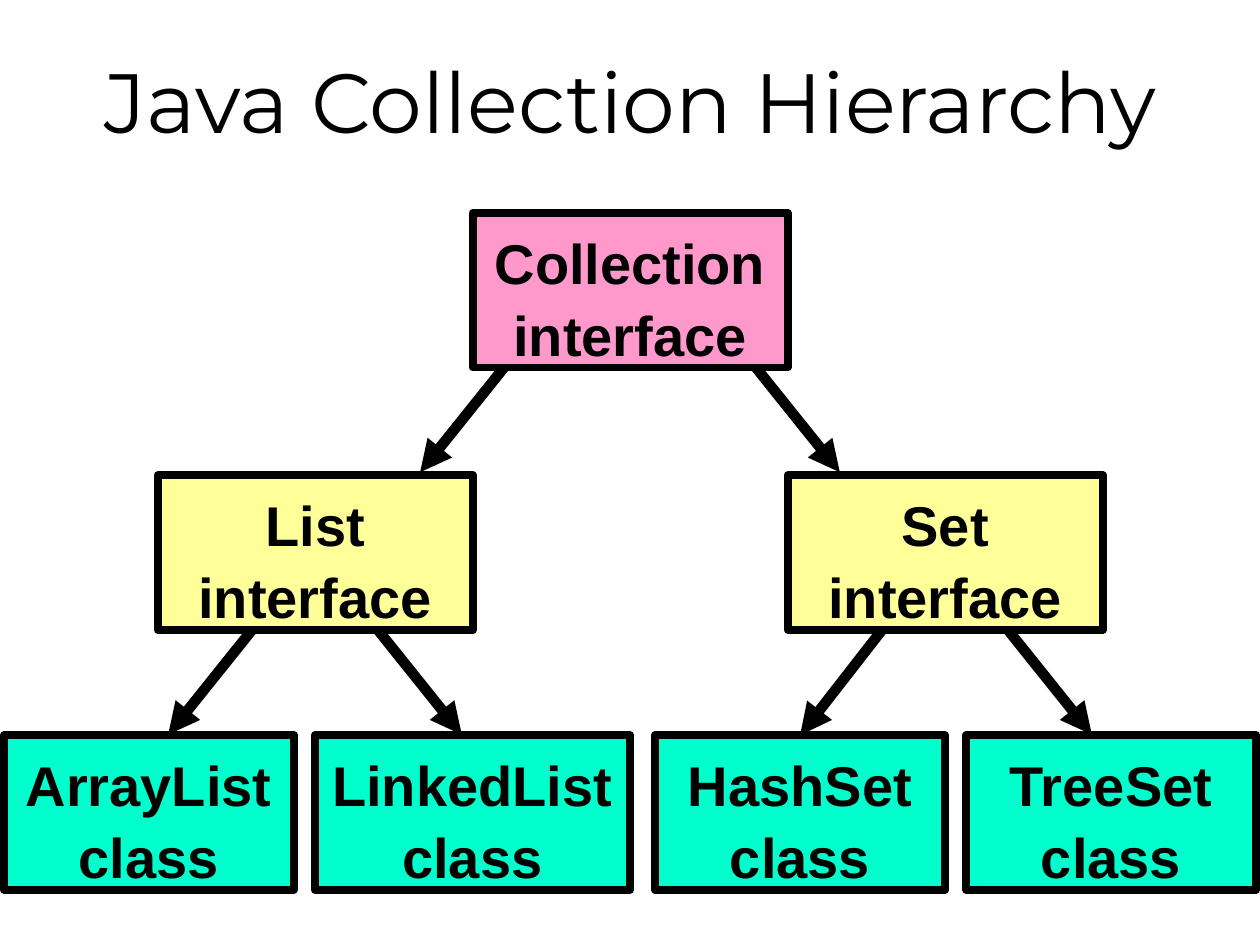
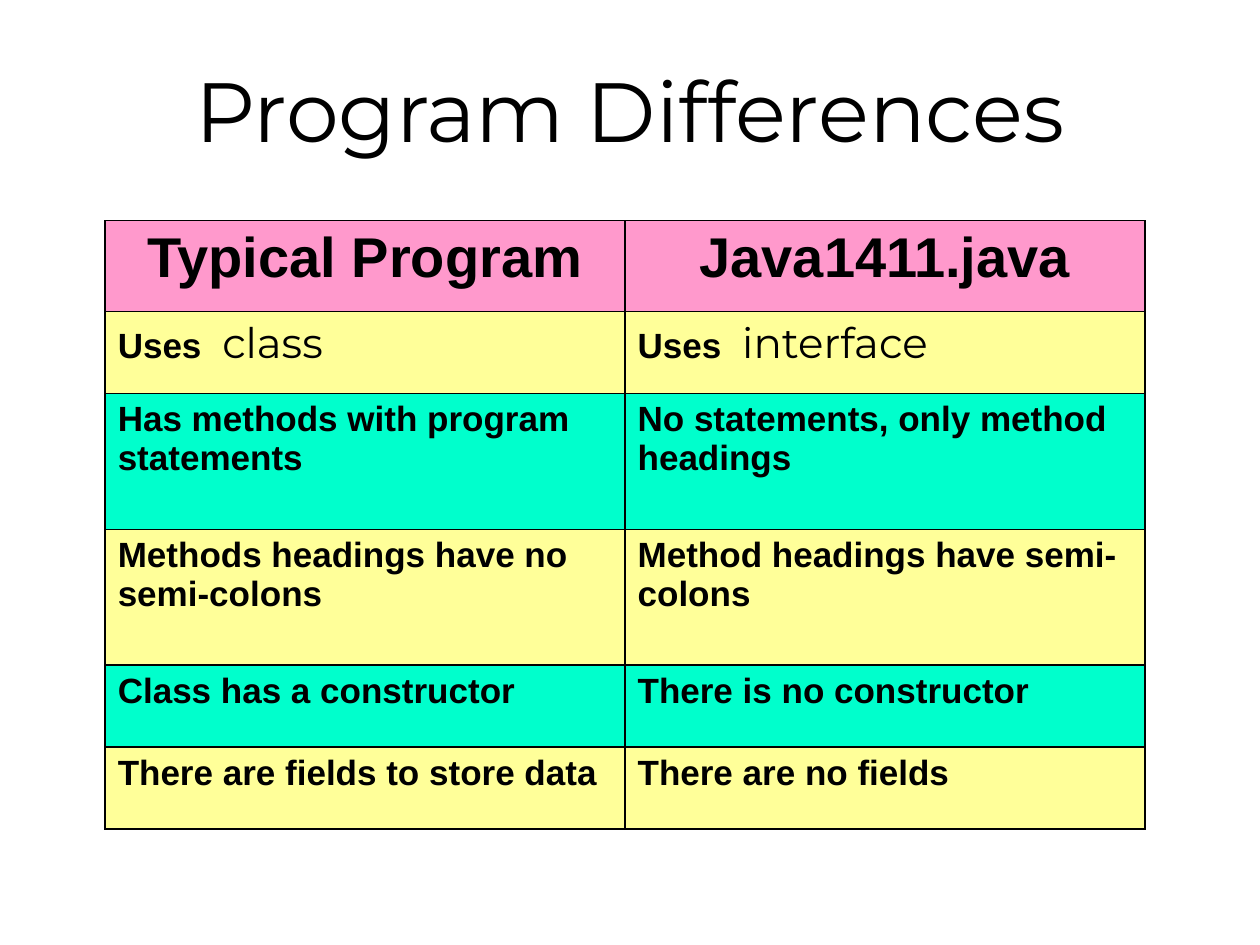
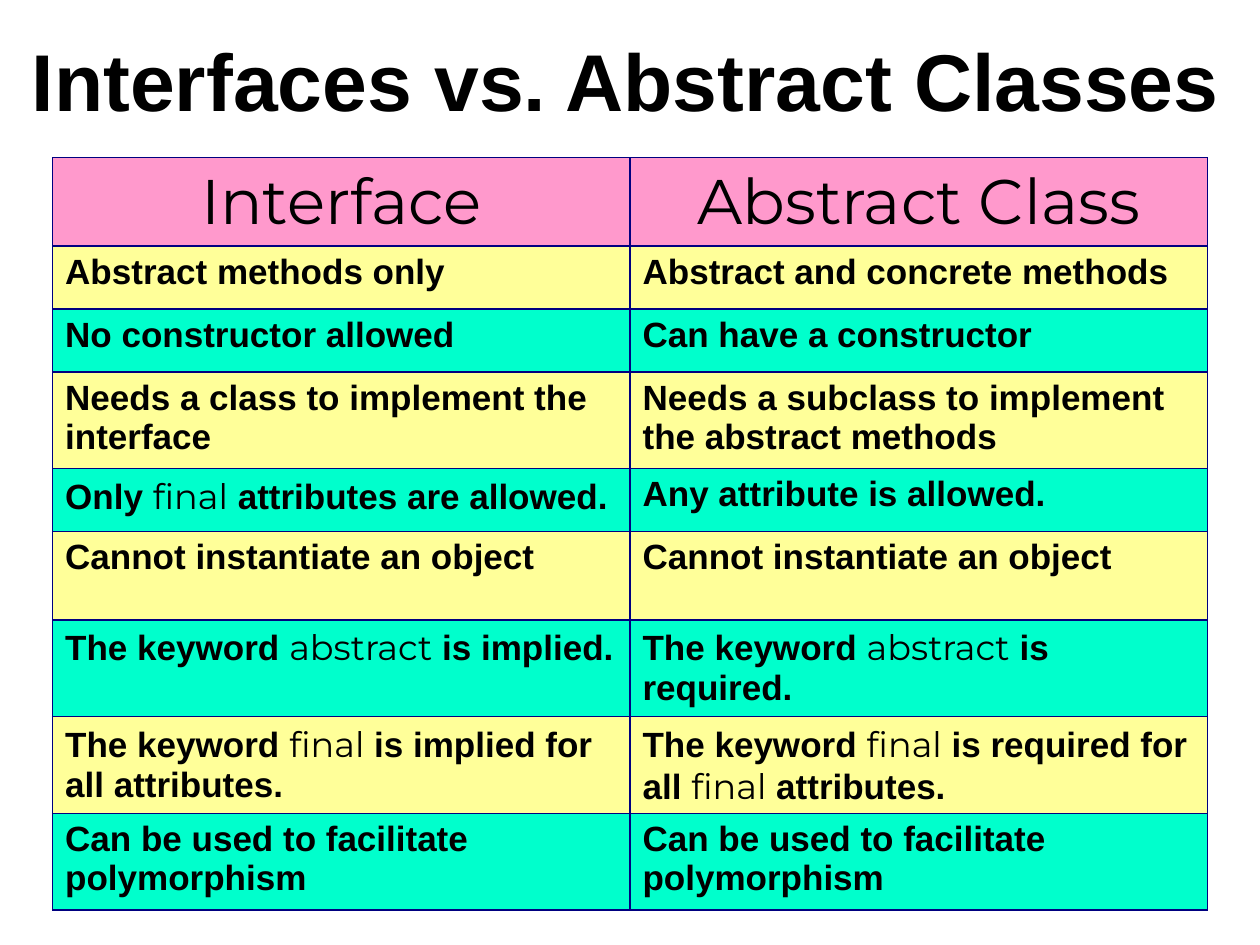
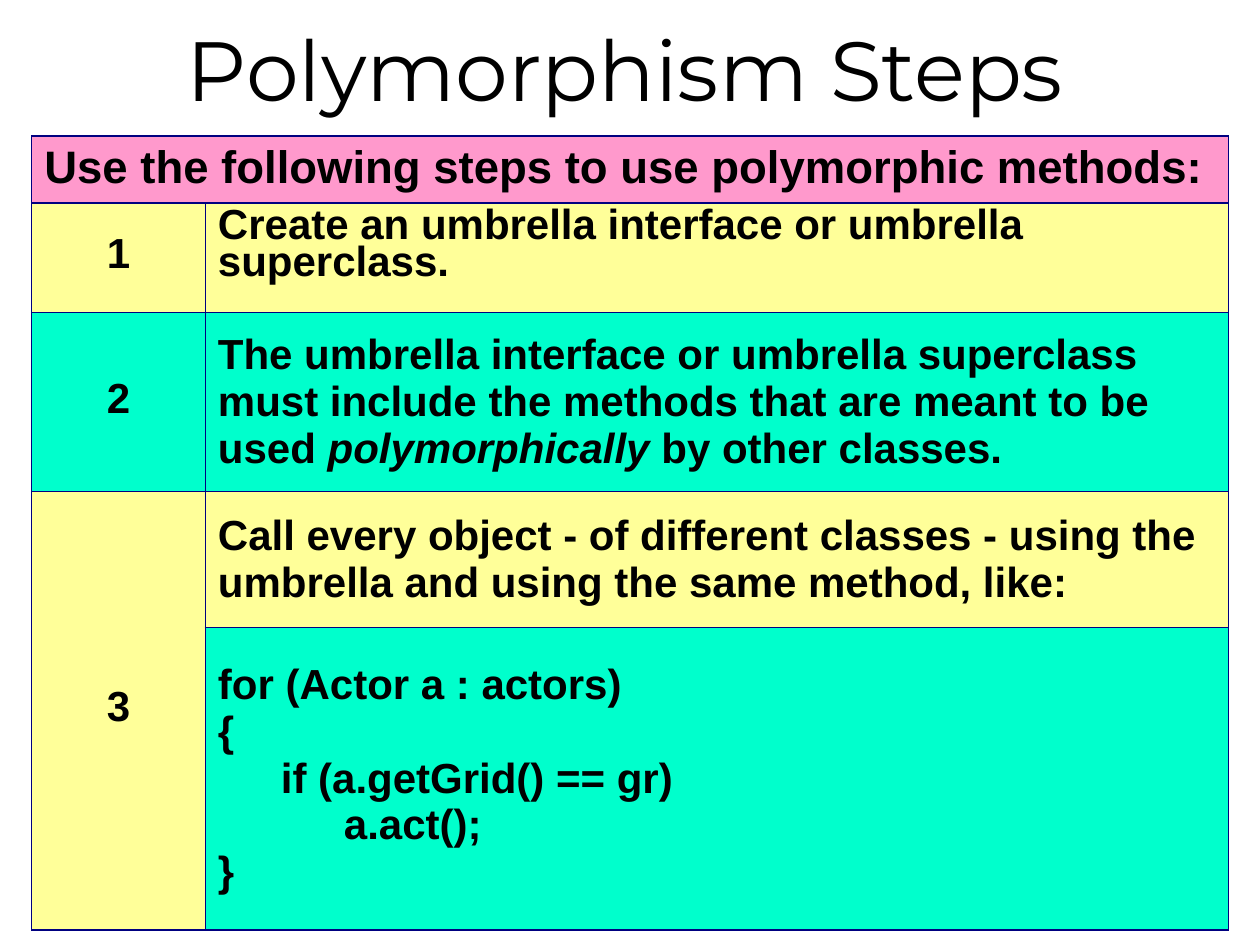
import pptx
import pptx.dml.color
import pptx.enum.shapes
import pptx.enum.text
import pptx.oxml.ns
import pptx.util
from lxml import etree

Cm, Pt = pptx.util.Cm, pptx.util.Pt
CENTER = pptx.enum.text.PP_ALIGN.CENTER
MIDDLE = pptx.enum.text.MSO_ANCHOR.MIDDLE

BLACK, NAVY = "000000", "000080"
PINK, YELLOW, MINT = "FF99CC", "FFFF99", "00FFCC"
HEAVY, LIGHT = "Arial", "Montserrat"


def colour(value):
    return pptx.dml.color.RGBColor.from_string(value)


def add_xml(parent, tag, **attributes):
    return etree.SubElement(parent, pptx.oxml.ns.qn(tag), attributes)


class Deck:
    """Holds the shared style and the slide being filled."""

    def __init__(self):
        self.deck = pptx.Presentation()
        self.deck.slide_width, self.deck.slide_height = Cm(25.4), Cm(19.05)

    def new_slide(self):
        self.slide = self.deck.slides.add_slide(self.deck.slide_layouts[6])

    def add_run(self, paragraph, text, size, font=HEAVY, bold=True, italic=False):
        run = paragraph.add_run()
        run.text = text
        run.font.name, run.font.size = font, Pt(size)
        run.font.bold, run.font.italic = bold, italic
        run.font.color.rgb = colour(BLACK)

    def add_text(self, frame, text, style, accent=None, align=None, spacing=None):
        """One paragraph per line; parts between backticks take the accent style."""
        frame.word_wrap = True
        for number, line in enumerate(text.split("\n")):
            paragraph = frame.add_paragraph() if number else frame.paragraphs[0]
            paragraph.alignment, paragraph.line_spacing = align, spacing
            for part, words in enumerate(line.split("`")):
                if words:
                    self.add_run(paragraph, words, **(accent if part % 2 else style))

    def title(self, text, left, top, width, height, size=48, font=LIGHT, bold=False):
        heading = self.slide.shapes.add_textbox(Cm(left), Cm(top), Cm(width), Cm(height))
        heading.text_frame.vertical_anchor = MIDDLE
        self.add_text(heading.text_frame, text, dict(size=size, font=font, bold=bold), align=CENTER)

    def box(self, text, left, top, width, height, fill):
        node = self.slide.shapes.add_shape(
            pptx.enum.shapes.MSO_SHAPE.RECTANGLE, Cm(left), Cm(top), Cm(width), Cm(height))
        node.shadow.inherit = False
        node.fill.solid()
        node.fill.fore_color.rgb = colour(fill)
        node.line.color.rgb = colour(BLACK)
        node.line.width = Pt(4.5)
        node.text_frame.vertical_anchor = pptx.enum.text.MSO_ANCHOR.TOP
        node.text_frame.margin_top = Cm(0.22)
        self.add_text(node.text_frame, text, dict(size=32), align=CENTER, spacing=1.07)
        return node

    def arrow(self, x1, y1, x2, y2, target):
        link = self.slide.shapes.add_connector(
            pptx.enum.shapes.MSO_CONNECTOR.STRAIGHT, Cm(x1), Cm(y1), Cm(x2), Cm(y2))
        link.line.color.rgb = colour(BLACK)
        link.line.width = Pt(6)
        properties = link._element.spPr
        add_xml(properties.find(pptx.oxml.ns.qn("a:ln")), "a:tailEnd", type="triangle")
        add_xml(properties, "a:effectLst")
        # Join only where the arrow reaches the middle of the target's top
        if abs(target.left + target.width // 2 - Cm(x2)) < Cm(0.1):
            link.end_connect(target, 0)

    def border(self, cell, line_colour):
        properties = cell._tc.get_or_add_tcPr()
        for place, side in enumerate("LRTB"):
            edge = add_xml(properties, "a:ln" + side, w=str(Pt(1)))
            add_xml(add_xml(edge, "a:solidFill"), "a:srgbClr", val=line_colour)
            properties.insert(place, edge)

    def table(self, rows, left, top, widths, heights, line_colour, header, body, accent,
              header_align=CENTER):
        """Pink header row, then yellow and mint rows in turn."""
        grid = self.slide.shapes.add_table(
            len(rows), len(widths), Cm(left), Cm(top), Cm(sum(widths)), Cm(sum(heights))).table
        grid.first_row = grid.horz_banding = False
        for column, width in zip(grid.columns, widths):
            column.width = Cm(width)
        for r, (texts, height) in enumerate(zip(rows, heights)):
            grid.rows[r].height = Cm(height)
            for c, text in enumerate(texts):
                cell = grid.cell(r, c)
                cell.fill.solid()
                cell.fill.fore_color.rgb = colour((YELLOW if r % 2 else MINT) if r else PINK)
                self.border(cell, line_colour)
                if text:
                    self.add_text(cell.text_frame, text, body if r else header, accent,
                                  None if r else header_align)
        return grid


def hierarchy(deck):
    deck.new_slide()
    deck.title("Java Collection Hierarchy", 0.43, 0.64, 24.56, 2.74)

    # Interfaces and classes
    wide, narrow, tall = 6.35, 5.84, 3.12
    root_top, middle_top, leaf_top = 4.29, 9.58, 14.82
    deck.box("Collection\ninterface", 9.53, root_top, wide, tall, PINK)
    list_box, set_box = [deck.box(name + "\ninterface", left, middle_top, wide, tall, YELLOW)
                         for name, left in (("List", 3.18), ("Set", 15.88))]
    leaves = [deck.box(name + "\nclass", left, leaf_top, width, tall, MINT)
              for name, left, width in (("ArrayList", 0.08, narrow), ("LinkedList", 6.35, wide),
                                        ("HashSet", 13.21, narrow), ("TreeSet", 19.48, narrow))]

    # Each parent sends one arrow to the left and one to the right
    run, drop = 1.69, 2.11
    families = [(12.7, root_top, 2.54, (list_box, set_box)),
                (6.35, middle_top, 1.27, leaves[:2]),
                (19.05, middle_top, 1.27, leaves[2:])]
    for center, top, offset, children in families:
        for side, child in zip((-1, 1), children):
            deck.arrow(center + side * offset, top + tall,
                       center + side * (offset + run), top + tall + drop, child)


def differences(deck):
    deck.new_slide()
    deck.title("Program Differences", 0, 0.2, 25.4, 4.01)
    rows = [
        ("Typical Program", "Java1411.java"),
        ("Uses ` class`", "Uses ` interface`"),
        ("Has methods with program statements", "No statements, only method headings"),
        ("Methods headings have no semi-colons", "Method headings have semi-colons"),
        ("Class has a constructor", "There is no constructor"),
        ("There are fields to store data", "There are no fields"),
    ]
    deck.table(rows, 2.12, 4.45, [10.48] * 2, [1.83, 1.65, 2.74, 2.74, 1.65, 1.65], BLACK,
               header=dict(size=32), body=dict(size=20),
               accent=dict(size=24, font=LIGHT, bold=False))


def comparison(deck):
    deck.new_slide()
    deck.title("Interfaces vs. Abstract Classes", 0, 0, 25.2, 3.18, size=46, font=HEAVY, bold=True)
    rows = [
        ("Interface", "Abstract Class"),
        ("Abstract methods only", "Abstract and concrete methods"),
        ("No constructor allowed", "Can have a constructor"),
        ("Needs a class to implement the interface",
         "Needs a subclass to implement the abstract methods"),
        ("Only `final` attributes are allowed.", "Any attribute is allowed."),
        ("Cannot instantiate an object",) * 2,
        ("The keyword `abstract` is implied.", "The keyword `abstract` is required."),
        ("The keyword `final` is implied for all attributes.",
         "The keyword `final` is required for all `final` attributes."),
        ("Can be used to facilitate polymorphism",) * 2,
    ]
    low, high = 1.27, 1.78
    deck.table(rows, 1.06, 3.18, [11.64] * 2, [high, low, low, high, low] + [high] * 4, NAVY,
               header=dict(size=36, font=LIGHT, bold=False), body=dict(size=20),
               accent=dict(size=20, font=LIGHT, bold=False))


def steps(deck):
    deck.new_slide()
    deck.title("Polymorphism Steps", 0, 0, 25.2, 2.74)
    code = "for (Actor a : actors)\n{\n\tif (a.getGrid() == gr)\n\t\ta.act();\n}"
    rows = [
        ("Use the following steps to use polymorphic methods:", None),
        ("1", "Create an umbrella interface or umbrella superclass."),
        ("2", "The umbrella interface or umbrella superclass must include the methods that are "
              "meant to be used `polymorphically `by other classes."),
        ("3", "Call every object - of different classes - using the\n"
              "umbrella and using the same method, like:"),
        (None, code),
    ]
    grid = deck.table(rows, 0.64, 2.74, [3.5, 20.63], [1.27, 2.2, 3.61, 2.74, 6.1], NAVY,
                      header=dict(size=26), body=dict(size=24),
                      accent=dict(size=24, italic=True), header_align=None)
    grid.cell(0, 0).merge(grid.cell(0, 1))
    grid.cell(3, 0).merge(grid.cell(4, 0))

    # Step numbers are centred; the first step is set tight at the top
    for r in (1, 2, 3):
        number = grid.cell(r, 0)
        number.vertical_anchor = MIDDLE
        number.text_frame.paragraphs[0].alignment = CENTER
        number.text_frame.paragraphs[0].line_spacing = 0.8
    grid.cell(1, 1).text_frame.paragraphs[0].line_spacing = 0.8
    for r in (2, 3, 4):
        grid.cell(r, 1).vertical_anchor = MIDDLE

    # Tab stops indent the code
    for line in grid.cell(4, 1).text_frame.paragraphs:
        stops = add_xml(line._p.get_or_add_pPr(), "a:tabLst")
        for position in (1.27, 2.54):
            add_xml(stops, "a:tab", pos=str(Cm(position)), algn="l")


def main():
    deck = Deck()
    for build in (hierarchy, differences, comparison, steps):
        build(deck)
    deck.deck.save("out.pptx")


if __name__ == "__main__":
    main()
